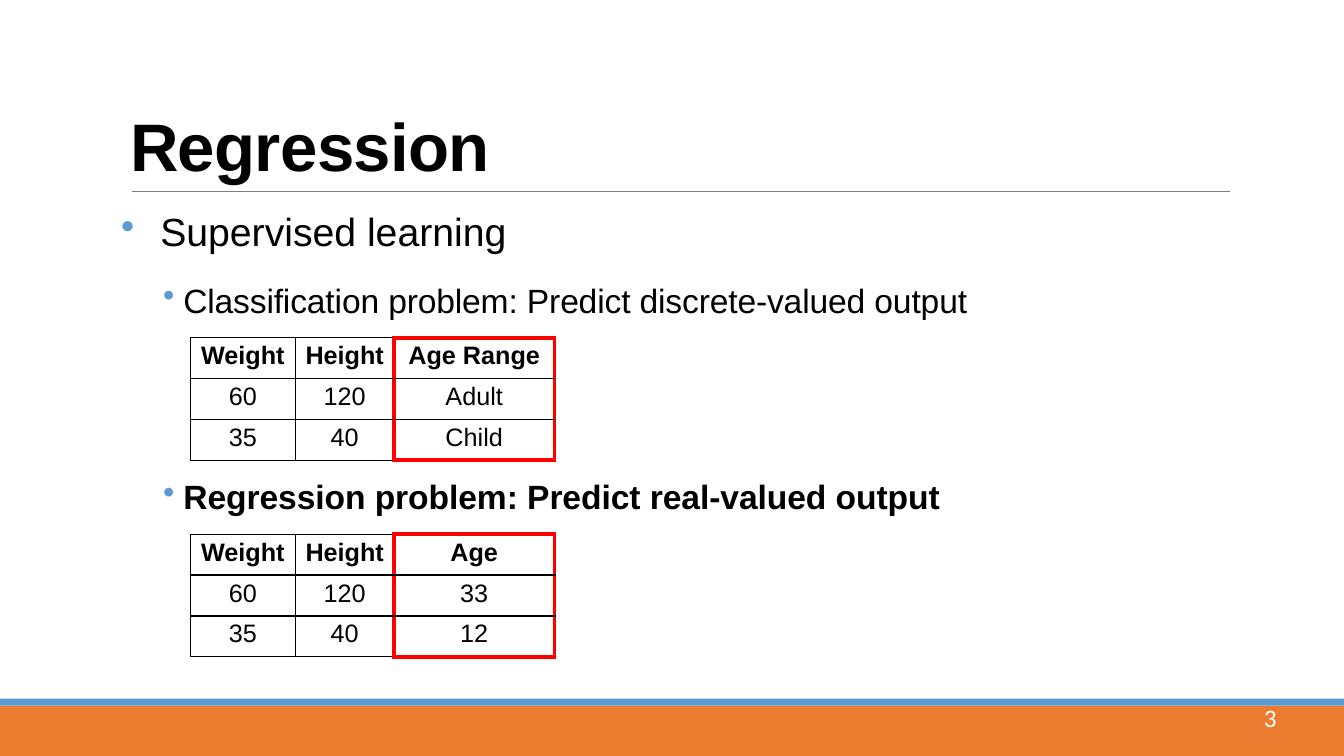
from pptx import Presentation
from pptx.dml.color import RGBColor
from pptx.enum.shapes import MSO_CONNECTOR, MSO_SHAPE
from pptx.enum.text import MSO_ANCHOR, MSO_AUTO_SIZE, PP_ALIGN
from pptx.oxml.ns import qn
from pptx.util import Pt
from lxml import etree

LEFT, CENTER, RIGHT = PP_ALIGN.LEFT, PP_ALIGN.CENTER, PP_ALIGN.RIGHT
TOP, NO_FIT = MSO_ANCHOR.TOP, MSO_AUTO_SIZE.NONE
RECTANGLE, STRAIGHT = MSO_SHAPE.RECTANGLE, MSO_CONNECTOR.STRAIGHT
BLACK, BLUE, ORANGE, RED = "000000", "5B9BD4", "EC7C30", "FF0000"


def color(value):
    return RGBColor.from_string(value)


def write(para, text, size, bold=False, align=LEFT, before=1, font="Arial", ink=BLACK, spacing=0):
    para.text = text
    para.alignment = align
    para.space_before = Pt(before)
    span = para.runs[0]
    span.font.name = font
    span.font.size = Pt(size)
    span.font.bold = bold
    span.font.color.rgb = color(ink)
    span.font._element.set("spc", str(spacing))


deck = Presentation()
deck.slide_width, deck.slide_height = Pt(960), Pt(540)
page = deck.slides.add_slide(deck.slide_layouts[5])

# Footer bands
for top, height, fill in [(504, 36, ORANGE), (499, 5, BLUE)]:
    band = page.shapes.add_shape(RECTANGLE, Pt(0), Pt(top), Pt(960), Pt(height))
    band.shadow.inherit = False
    band.fill.solid()
    band.fill.fore_color.rgb = color(fill)
    band.line.fill.background()

# Rule under the title
rule = page.shapes.add_connector(STRAIGHT, Pt(94), Pt(136.7), Pt(878.5), Pt(136.7))
rule.line.color.rgb = color("7E7E7E")
rule.line.width = Pt(0.48)
etree.SubElement(rule._element.spPr, qn("a:effectLst"))

# Title
title = page.shapes.title
title.left, title.top, title.width, title.height = Pt(93), Pt(73.5), Pt(260), Pt(60)
write(title.text_frame.paragraphs[0], "Regression", 48, bold=True, spacing=-50)

# Bullet boxes and page number
bullets = page.shapes.add_textbox(Pt(85.7), Pt(147), Pt(613), Pt(83))
regression = page.shapes.add_textbox(Pt(116), Pt(339), Pt(559), Pt(31))
number = page.shapes.add_textbox(Pt(691), Pt(502), Pt(221), Pt(22))
for box in (title, bullets, regression, number):
    frame = box.text_frame
    frame.word_wrap = True
    frame.auto_size = NO_FIT
    frame.vertical_anchor = TOP
    frame.margin_left = frame.margin_right = frame.margin_bottom = 0
    frame.margin_top = Pt(1)
number.text_frame.margin_top = 0
write(number.text_frame.paragraphs[0], "3", 18, align=RIGHT, before=0, font="Calibri", ink="FFFFFF")

supervised = bullets.text_frame.paragraphs[0]
classification = bullets.text_frame.add_paragraph()
classification.level = 1
real_valued = regression.text_frame.paragraphs[0]
write(supervised, "Supervised learning", 28)
write(classification, "Classification problem: Predict discrete-valued output", 24, before=18.1, spacing=-10)
write(real_valued, "Regression problem: Predict real-valued output", 24, bold=True, spacing=-5)
for para, margin, hanging in [(supervised, 28.8, 28), (classification, 45.2, 14.4), (real_valued, 15, 14.4)]:
    props = para._p.get_or_add_pPr()
    props.set("marL", str(Pt(margin)))
    props.set("indent", str(-Pt(hanging)))
    bullet_color = etree.SubElement(props, qn("a:buClr"))
    etree.SubElement(bullet_color, qn("a:srgbClr"), val=BLUE)
    etree.SubElement(props, qn("a:buChar"), char="•")

# Example tables: the predicted column is framed in red
column_edges = [(BLACK, 0.75), (BLACK, 1), (RED, 3), (RED, 3)]
examples = [
    (241.2, 1, ["Age Range", "Adult", "Child"]),
    (381.6, 1.5, ["Age", "33", "12"]),
]
for top, header_rule, targets in examples:
    table = page.shapes.add_table(3, 3, Pt(136), Pt(top), Pt(260), Pt(87.6)).table
    table.first_row = table.horz_banding = False
    for column, width in zip(table.columns, [75, 70.5, 114.5]):
        column.width = Pt(width)
    rows = zip(["Weight", "60", "35"], ["Height", "120", "40"], targets)
    for r, values in enumerate(rows):
        table.rows[r].height = Pt(29.2)
        for c, value in enumerate(values):
            outer = (RED, 3) if c == 2 else (BLACK, 0.75)
            row_edges = [outer, (BLACK, header_rule), (BLACK, 1), outer]
            cell = table.cell(r, c)
            cell.margin_left = cell.margin_right = cell.margin_bottom = 0
            cell.margin_top = Pt(2.9)
            write(cell.text_frame.paragraphs[0], value, 18, bold=r == 0, align=CENTER, before=3)
            edges = {"L": column_edges[c], "R": column_edges[c + 1], "T": row_edges[r], "B": row_edges[r + 1]}
            for side, (ink, width) in edges.items():
                line = etree.SubElement(cell._tc.get_or_add_tcPr(), qn("a:ln" + side), w=str(Pt(width)))
                solid = etree.SubElement(line, qn("a:solidFill"))
                etree.SubElement(solid, qn("a:srgbClr"), val=ink)
            cell.fill.background()

deck.save("out.pptx")
